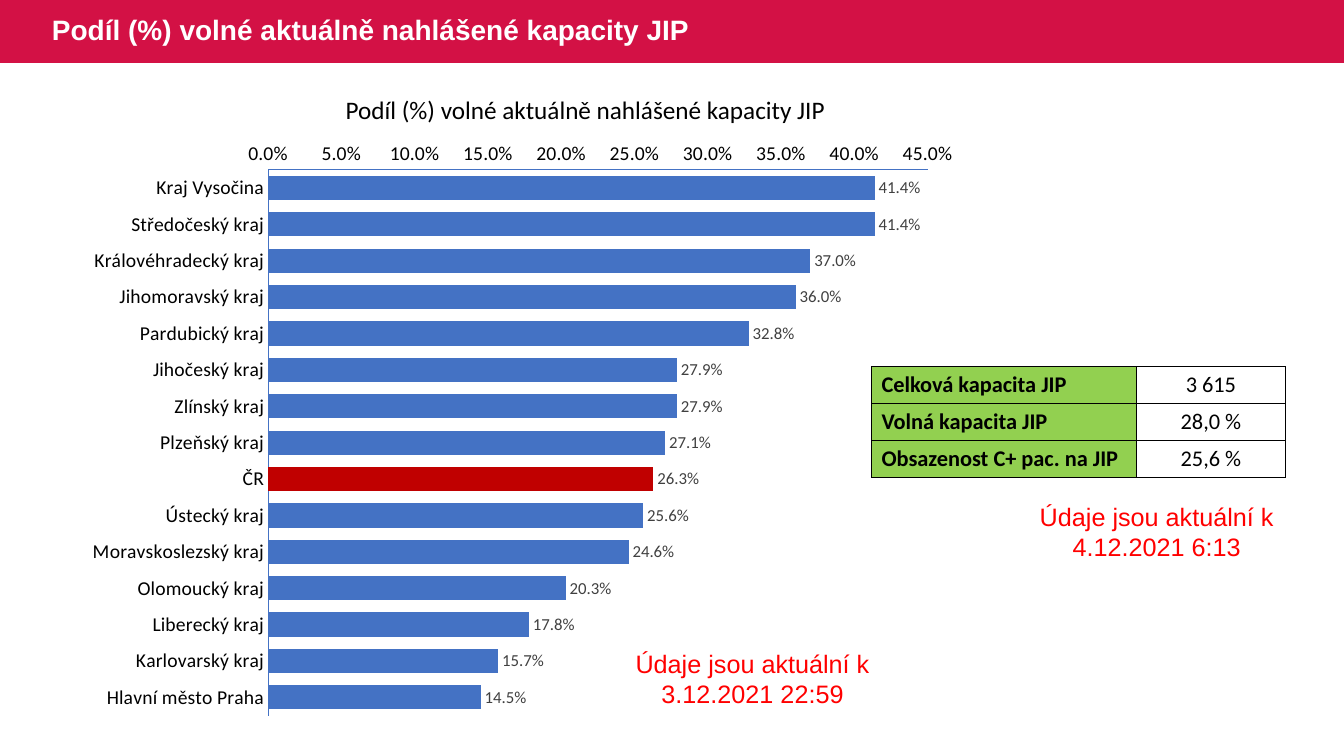
from lxml import etree
from pptx import Presentation
from pptx.chart.data import CategoryChartData
from pptx.dml.color import RGBColor
from pptx.enum.chart import XL_CHART_TYPE, XL_LABEL_POSITION, XL_TICK_MARK
from pptx.enum.shapes import MSO_SHAPE
from pptx.enum.text import MSO_ANCHOR, PP_ALIGN
from pptx.oxml import parse_xml
from pptx.oxml.ns import qn
from pptx.util import Pt

BAR_CLUSTERED = XL_CHART_TYPE.BAR_CLUSTERED
OUTSIDE_END = XL_LABEL_POSITION.OUTSIDE_END
NO_TICK = XL_TICK_MARK.NONE
RECTANGLE = MSO_SHAPE.RECTANGLE
TOP, MIDDLE = MSO_ANCHOR.TOP, MSO_ANCHOR.MIDDLE
LEFT, CENTER = PP_ALIGN.LEFT, PP_ALIGN.CENTER

HEADING = "Podíl (%) volné aktuálně nahlášené kapacity JIP"
BLUE, DARK_RED, BLACK = "4472C4", "C00000", "000000"
CHART_NS = "http://schemas.openxmlformats.org/drawingml/2006/chart"
PLOT_AREA = {"x": 0.216, "y": 0.065, "w": 0.736, "h": 0.913}
COUNTRY = "ČR"
FREE_SHARE = {
    "Kraj Vysočina": 0.414,
    "Středočeský kraj": 0.414,
    "Královéhradecký kraj": 0.37,
    "Jihomoravský kraj": 0.36,
    "Pardubický kraj": 0.328,
    "Jihočeský kraj": 0.279,
    "Zlínský kraj": 0.279,
    "Plzeňský kraj": 0.271,
    COUNTRY: 0.263,
    "Ústecký kraj": 0.256,
    "Moravskoslezský kraj": 0.246,
    "Olomoucký kraj": 0.203,
    "Liberecký kraj": 0.178,
    "Karlovarský kraj": 0.157,
    "Hlavní město Praha": 0.145,
}
CAPACITY = [
    ("Celková kapacita JIP", "3 615"),
    ("Volná kapacita JIP", "28,0 %"),
    ("Obsazenost C+ pac. na JIP", "25,6 %"),
]


def color(value):
    return RGBColor.from_string(value)


def apply(target, values):
    for name, value in values.items():
        setattr(target, name, value)


def style_font(font, size, tint, face="Calibri", bold=False):
    apply(font, {"size": Pt(size), "name": face, "bold": bold})
    font.color.rgb = color(tint)


def fill_solid(part, tint):
    part.fill.solid()
    part.fill.fore_color.rgb = color(tint)


def add_text(slide, box, text, size, tint, face, bold=False, align=LEFT, anchor=TOP, spacing=1.0):
    frame = slide.shapes.add_textbox(*map(Pt, box)).text_frame
    apply(frame, {"word_wrap": True, "vertical_anchor": anchor})
    paragraph = frame.paragraphs[0]
    apply(paragraph, {"text": text, "alignment": align, "line_spacing": spacing})
    style_font(paragraph.runs[0].font, size, tint, face, bold)


def add_header(slide, box):
    left, top, width, height = box
    band = slide.shapes.add_shape(RECTANGLE, *map(Pt, box))
    band.shadow.inherit = False
    fill_solid(band, "D31145")
    band.line.fill.background()
    add_text(slide, (left + 30, top, width - 128, height), HEADING, 20, "FFFFFF", "Arial",
             bold=True, anchor=MIDDLE, spacing=0.9)


def place_plot(chart):
    plot_area = chart._chartSpace.chart.plotArea
    for old in plot_area.findall(qn("c:layout")):
        plot_area.remove(old)
    layout = etree.Element(qn("c:layout"))
    manual = etree.SubElement(layout, qn("c:manualLayout"))
    settings = {"layoutTarget": "inner", "xMode": "edge", "yMode": "edge", **PLOT_AREA}
    for tag, value in settings.items():
        etree.SubElement(manual, qn(f"c:{tag}")).set("val", str(value))
    plot_area.insert(0, parse_xml(etree.tostring(layout)))


def add_share_chart(slide, box):
    left, top, width, height = box
    add_text(slide, (left + 186.5, top - 29.5, 370, 29), HEADING, 18, BLACK, "Calibri")
    data = CategoryChartData(number_format="0.0%")
    data.categories = list(FREE_SHARE)
    data.add_series("Series 1", list(FREE_SHARE.values()))
    chart = slide.shapes.add_chart(BAR_CLUSTERED, *map(Pt, box), data).chart
    apply(chart, {"has_legend": False, "has_title": False})
    style_font(chart.font, 10, BLACK)

    for axis in (chart.category_axis, chart.value_axis):
        apply(axis, {"major_tick_mark": NO_TICK, "minor_tick_mark": NO_TICK,
                     "has_major_gridlines": False})
        style_font(axis.tick_labels.font, 14, BLACK)
        axis.format.line.width = Pt(0.75)
        axis.format.line.color.rgb = color(BLUE)
    chart.category_axis.reverse_order = True
    apply(chart.value_axis, {"minimum_scale": 0, "maximum_scale": 0.45, "major_unit": 0.05})
    apply(chart.value_axis.tick_labels, {"number_format": "0.0%", "number_format_is_linked": False})

    plot = chart.plots[0]
    apply(plot, {"gap_width": 50, "vary_by_categories": False, "has_data_labels": True})
    labels = plot.data_labels
    apply(labels, {"show_value": True, "position": OUTSIDE_END,
                   "number_format": "0.0%", "number_format_is_linked": False})
    style_font(labels.font, 12, "404040")
    shares = plot.series[0]
    shares.invert_if_negative = False
    fill_solid(shares.format, BLUE)
    fill_solid(shares.points[list(FREE_SHARE).index(COUNTRY)].format, DARK_RED)
    place_plot(chart)


def add_borders(cell):
    properties = cell._tc.get_or_add_tcPr()
    for side in ("a:lnL", "a:lnR", "a:lnT", "a:lnB"):
        line = etree.SubElement(properties, qn(side), w=str(Pt(0.75)))
        fill = etree.SubElement(line, qn("a:solidFill"))
        etree.SubElement(fill, qn("a:srgbClr"), val=BLACK)


def add_capacity_table(slide, box):
    left, top, width, height = box
    table = slide.shapes.add_table(len(CAPACITY), 2, *map(Pt, box)).table
    apply(table, {"first_row": False, "horz_banding": False})
    label_width = 189
    for column, column_width in zip(table.columns, (label_width, width - label_width)):
        column.width = Pt(column_width)
    styles = [("92D050", True, LEFT, TOP), ("FFFFFF", False, CENTER, MIDDLE)]
    for row, texts in zip(table.rows, CAPACITY):
        row.height = Pt(height / len(CAPACITY))
        for cell, text, (tint, bold, align, anchor) in zip(row.cells, texts, styles):
            add_borders(cell)
            fill_solid(cell, tint)
            apply(cell, {"text": text, "vertical_anchor": anchor,
                         "margin_top": Pt(3.4), "margin_bottom": Pt(3.4)})
            paragraph = cell.text_frame.paragraphs[0]
            paragraph.alignment = align
            style_font(paragraph.runs[0].font, 16, BLACK, bold=bold)


def add_update_note(slide, box, moment):
    add_text(slide, box, f"Údaje jsou aktuální k {moment}", 18, "FF0000", "Arial", align=CENTER)


def main():
    deck = Presentation()
    apply(deck, {"slide_width": Pt(960), "slide_height": Pt(540)})
    slide = deck.slides.add_slide(deck.slide_layouts[6])
    add_header(slide, (0, 0, 960, 45))
    add_share_chart(slide, (53.3, 93.6, 640, 427))
    add_capacity_table(slide, (622.5, 262, 296, 79))
    add_update_note(slide, (445.7, 459.4, 183.6, 51), "3.12.2021 22:59")
    add_update_note(slide, (734.4, 354.4, 183.6, 51), "4.12.2021 6:13")
    deck.save("out.pptx")


if __name__ == "__main__":
    main()
